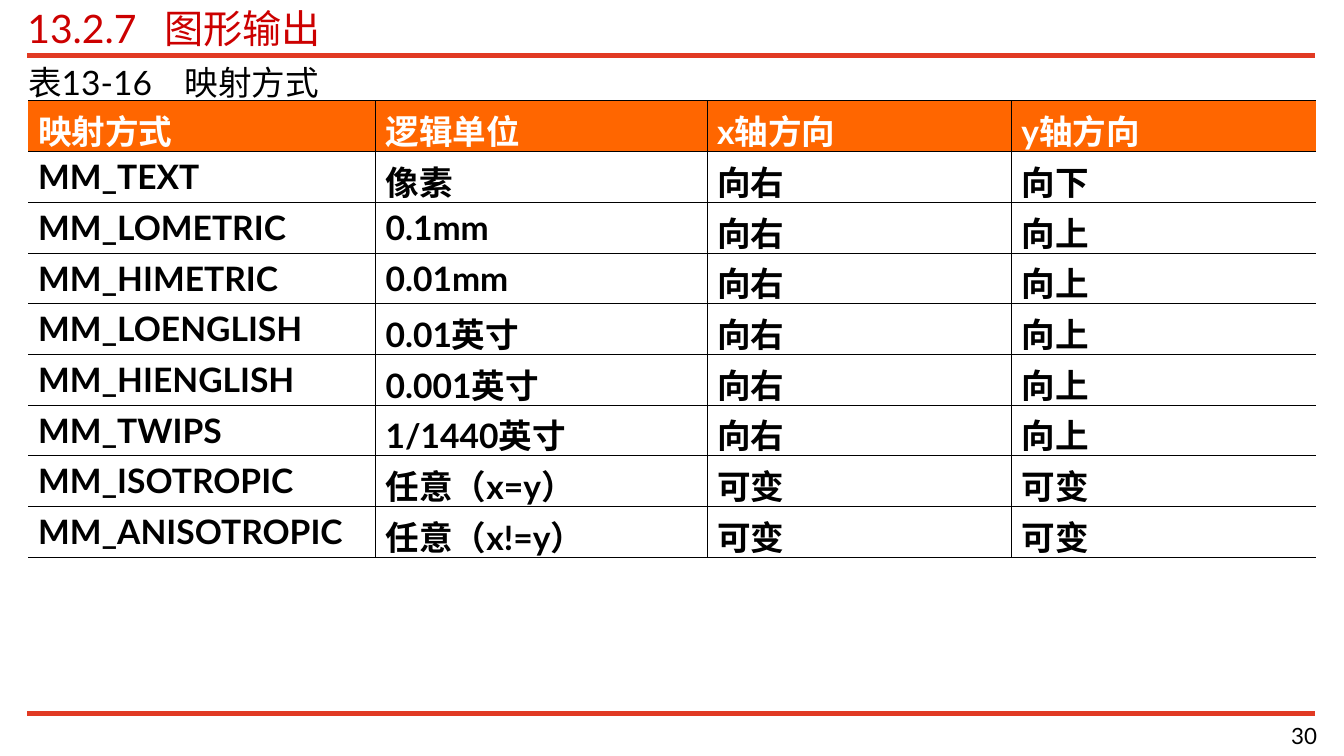
from lxml import etree
from pptx import Presentation
from pptx.dml.color import RGBColor
from pptx.enum.shapes import MSO_CONNECTOR
from pptx.enum.text import PP_ALIGN
from pptx.oxml.ns import qn
from pptx.util import Cm, Pt

STRAIGHT = MSO_CONNECTOR.STRAIGHT
LEFT, RIGHT = PP_ALIGN.LEFT, PP_ALIGN.RIGHT
RULE_RED, TITLE_RED = "E13A23", "CC0000"
ORANGE, BLACK, WHITE = "FF6600", "000000", "FFFFFF"
MARGIN, WIDTH = 0.69, 32.46
THIN, THICK = 0.45, 0.62


def rgb(color):
    return RGBColor.from_string(color)


def add_run(p, text, size, color, bold=False):
    r = p.add_run()
    r.text = text
    r.font.name = "Lato"
    r.font.size = Pt(size)
    r.font.bold = bold
    r.font.color.rgb = rgb(color)


prs = Presentation()
prs.slide_width, prs.slide_height = Cm(33.88), Cm(19.05)
s = prs.slides.add_slide(prs.slide_layouts[6])

# Red rules under the title and above the page number
for y, weight in [(1.4, 4), (17.98, 3)]:
    rule = s.shapes.add_connector(STRAIGHT, Cm(MARGIN), Cm(y), Cm(MARGIN + WIDTH), Cm(y))
    rule.line.color.rgb = rgb(RULE_RED)
    rule.line.width = Pt(weight)
    etree.SubElement(rule._element.spPr, qn("a:effectLst"))

# Title, table caption and page number: the tab stop sets the gap after the number
texts = [
    ("13.2.7\t图形输出", MARGIN, 0.1, WIDTH, 1.19, 28, TITLE_RED, LEFT, 3.45),
    ("表13-16\t映射方式", 0.71, 1.55, WIDTH, 1.02, 24, BLACK, LEFT, 3.95),
    ("30", 26.39, 18.19, 6.81, 0.79, 16, BLACK, RIGHT, None),
]
for text, x, y, w, h, size, color, align, tab in texts:
    tf = s.shapes.add_textbox(Cm(x), Cm(y), Cm(w), Cm(h)).text_frame
    tf.word_wrap = True
    tf.margin_left = tf.margin_right = tf.margin_top = tf.margin_bottom = 0
    p = tf.paragraphs[0]
    if tab:
        tabs = etree.SubElement(p._p.get_or_add_pPr(), qn("a:tabLst"))
        etree.SubElement(tabs, qn("a:tab"), pos=str(Cm(tab)), algn="l")
    p.alignment = align
    add_run(p, text, size, color)

# Table of mapping modes
rows = [
    ("映射方式", "逻辑单位", "x轴方向", "y轴方向"),
    ("MM_TEXT", "像素", "向右", "向下"),
    ("MM_LOMETRIC", "0.1mm", "向右", "向上"),
    ("MM_HIMETRIC", "0.01mm", "向右", "向上"),
    ("MM_LOENGLISH", "0.01英寸", "向右", "向上"),
    ("MM_HIENGLISH", "0.001英寸", "向右", "向上"),
    ("MM_TWIPS", "1/1440英寸", "向右", "向上"),
    ("MM_ISOTROPIC", "任意（x=y）", "可变", "可变"),
    ("MM_ANISOTROPIC", "任意（x!=y）", "可变", "可变"),
]
col_widths = [8.76, 8.36, 7.67, 7.67]
row_height = 1.27
last_row, last_col = len(rows) - 1, len(col_widths) - 1

table = s.shapes.add_table(len(rows), len(col_widths), Cm(0.71), Cm(2.54),
                           Cm(sum(col_widths)), Cm(row_height * len(rows))).table
table.horz_banding = False
for column, width in zip(table.columns, col_widths):
    column.width = Cm(width)

for i, row in enumerate(rows):
    table.rows[i].height = Cm(row_height)
    for j, text in enumerate(row):
        cell = table.cell(i, j)
        cell.margin_left = cell.margin_right = Cm(0.25)
        cell.margin_top = cell.margin_bottom = Cm(0.13)
        add_run(cell.text_frame.paragraphs[0], text, 24, BLACK if i else WHITE, bold=True)

        # The table is open at its left and right sides
        borders = {
            "a:lnL": THIN if j > 0 else 0,
            "a:lnR": THIN if j < last_col else 0,
            "a:lnT": THICK if i <= 1 else THIN,
            "a:lnB": THICK if i in (0, last_row) else THIN,
        }
        tcPr = cell._tc.get_or_add_tcPr()
        for tag, weight in borders.items():
            ln = etree.SubElement(tcPr, qn(tag), w=str(Pt(weight)))
            if weight:
                solid = etree.SubElement(ln, qn("a:solidFill"))
                etree.SubElement(solid, qn("a:srgbClr"), val=BLACK)
            else:
                etree.SubElement(ln, qn("a:noFill"))

        if i == 0:
            cell.fill.solid()
            cell.fill.fore_color.rgb = rgb(ORANGE)
        else:
            cell.fill.background()

prs.save("out.pptx")
